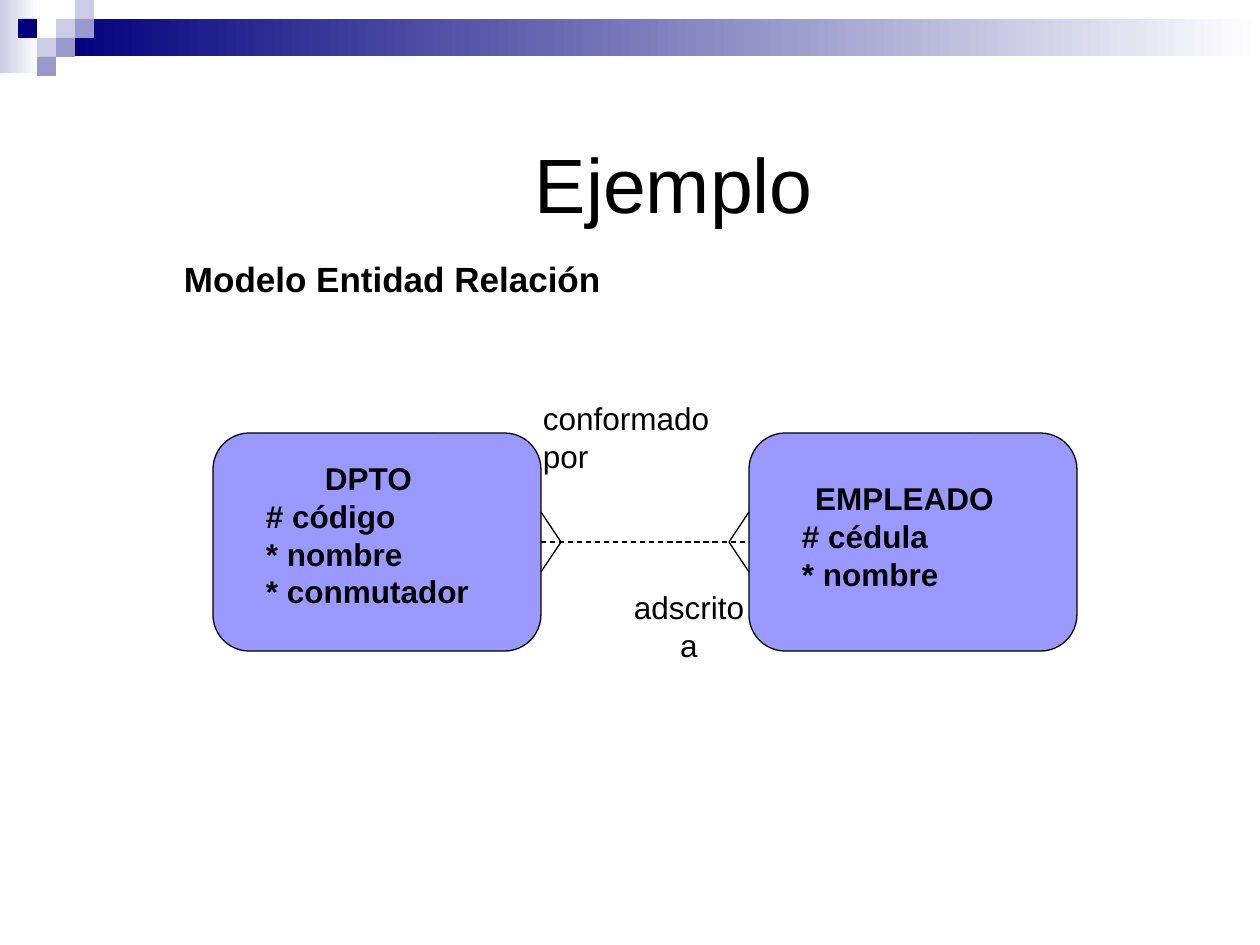
from pptx import Presentation
from pptx.dml.color import RGBColor
from pptx.enum.dml import MSO_LINE
from pptx.enum.shapes import MSO_CONNECTOR, MSO_SHAPE
from pptx.enum.text import MSO_ANCHOR, PP_ALIGN
from pptx.oxml.ns import qn
from pptx.util import Emu, Pt
from lxml.etree import SubElement

BLACK = RGBColor(0x00, 0x00, 0x00)
WHITE = RGBColor(0xFF, 0xFF, 0xFF)
NAVY = RGBColor(0x00, 0x00, 0x7D)
LAVENDER = RGBColor(0xCC, 0xCC, 0xE6)
PERIWINKLE = RGBColor(0x99, 0x99, 0xCC)
ENTITY_BLUE = RGBColor(0x99, 0x99, 0xFF)

PIXELS_PER_INCH = 126
SQUARE = 19
ENTITY_TOP, ENTITY_WIDTH, ENTITY_HEIGHT = 433, 328, 218
LINK_LEFT, LINK_RIGHT, LINK_MIDDLE = 541, 749, 542
FOOT_DEPTH, FOOT_SPREAD = 20, 30


def px(length):
    """Turn pixels into EMU."""
    return Emu(round(length * 914400 / PIXELS_PER_INCH))


def write_text(shape, lines, size=18, bold=False, alignments=(PP_ALIGN.LEFT,),
               wrap=True, anchor=MSO_ANCHOR.TOP):
    """Write lines into a shape; the last alignment serves the remaining lines."""
    frame = shape.text_frame
    frame.word_wrap = wrap
    frame.vertical_anchor = anchor
    frame.margin_left, frame.margin_right = px(13), px(10)
    frame.margin_top = frame.margin_bottom = px(6)
    frame.text = "\n".join(lines)
    for index, paragraph in enumerate(frame.paragraphs):
        paragraph.alignment = alignments[min(index, len(alignments) - 1)]
        font = paragraph.runs[0].font
        font.name, font.size, font.bold = "Arial", Pt(size), bold
        font.color.rgb = BLACK


def add_text(slide, box, lines, **text_format):
    """Add a text box with formatted lines."""
    write_text(slide.shapes.add_textbox(*map(px, box)), lines, **text_format)


def add_block(slide, box, color, kind=MSO_SHAPE.RECTANGLE):
    """Add a flat shape without an outline."""
    shape = slide.shapes.add_shape(kind, *map(px, box))
    shape.shadow.inherit = False
    shape.fill.solid()
    shape.fill.fore_color.rgb = color
    shape.line.fill.background()
    return shape


def add_fading_block(slide, box, color):
    """Add a rectangle that fades to white on the right."""
    fill = add_block(slide, box, color).fill
    fill.gradient()
    fill.gradient_angle = 0
    for stop, stop_color in zip(fill.gradient_stops, (color, WHITE)):
        stop.color.rgb = stop_color


def add_line(slide, start, end, dashed=False):
    """Add a thin black line."""
    line = slide.shapes.add_connector(
        MSO_CONNECTOR.STRAIGHT, *map(px, (*start, *end)))
    line.line.color.rgb = BLACK
    line.line.width = Pt(0.75)
    if dashed:
        line.line.dash_style = MSO_LINE.DASH
    SubElement(line._element.spPr, qn("a:effectLst"))


def add_banner(slide):
    """Add the fading bars and the mosaic of squares."""
    add_fading_block(slide, (0, 0, 39, 73), LAVENDER)
    add_fading_block(slide, (57, 19, 1203, 37), NAVY)
    squares = [(3, 1, LAVENDER), (4, 0, LAVENDER), (4, 1, PERIWINKLE),
               (2, 2, LAVENDER), (1, 1, NAVY), (3, 2, PERIWINKLE),
               (2, 3, PERIWINKLE)]
    for column, row, color in squares:
        add_block(slide, (column * SQUARE - 1, row * SQUARE, SQUARE, SQUARE), color)


def add_entity(slide, left, text_top, lines):
    """Add an entity box with its name and attributes."""
    entity = add_block(slide, (left, ENTITY_TOP, ENTITY_WIDTH, ENTITY_HEIGHT),
                       ENTITY_BLUE, MSO_SHAPE.ROUNDED_RECTANGLE)
    entity.line.color.rgb = BLACK
    entity.line.width = Pt(0.75)
    add_text(slide, (left + 40, text_top, 228, 38 * len(lines) + 12), lines,
             bold=True, alignments=(PP_ALIGN.CENTER, PP_ALIGN.LEFT))


def add_crow_foot(slide, edge, tip):
    """Add the two strokes that mark the many side."""
    for offset in (-FOOT_SPREAD, FOOT_SPREAD):
        add_line(slide, (tip, LINK_MIDDLE), (edge, LINK_MIDDLE + offset))


def add_relationship(slide):
    """Add the dashed link, its crow's feet and its two labels."""
    add_crow_foot(slide, LINK_RIGHT, LINK_RIGHT - FOOT_DEPTH)
    add_text(slide, (620, 582, 135, 88), ["adscrito", "a"], wrap=False,
             alignments=(PP_ALIGN.CENTER,))
    add_text(slide, (530, 393, 200, 88), ["conformado", "por"], wrap=False)
    add_crow_foot(slide, LINK_LEFT, LINK_LEFT + FOOT_DEPTH)
    add_line(slide, (LINK_LEFT, LINK_MIDDLE), (LINK_RIGHT, LINK_MIDDLE), dashed=True)


def main():
    """Build the slide and save it."""
    presentation = Presentation()
    presentation.slide_width, presentation.slide_height = px(1260), px(945)
    slide = presentation.slides.add_slide(presentation.slide_layouts[5])
    add_banner(slide)
    title = slide.shapes.title
    title.left, title.top, title.width, title.height = map(px, (184, 115, 977, 136))
    write_text(title, ["Ejemplo"], size=44, alignments=(PP_ALIGN.CENTER,),
               anchor=MSO_ANCHOR.MIDDLE)
    add_text(slide, (170, 251, 442, 55), ["Modelo Entidad Relación"], size=20,
             bold=True, wrap=False, alignments=(PP_ALIGN.CENTER,))
    add_entity(slide, 213, 453, ["DPTO", "# código", "* nombre", "* conmutador"])
    add_entity(slide, 749, 473, ["EMPLEADO", "# cédula", "* nombre"])
    add_relationship(slide)
    presentation.save("out.pptx")


if __name__ == "__main__":
    main()
